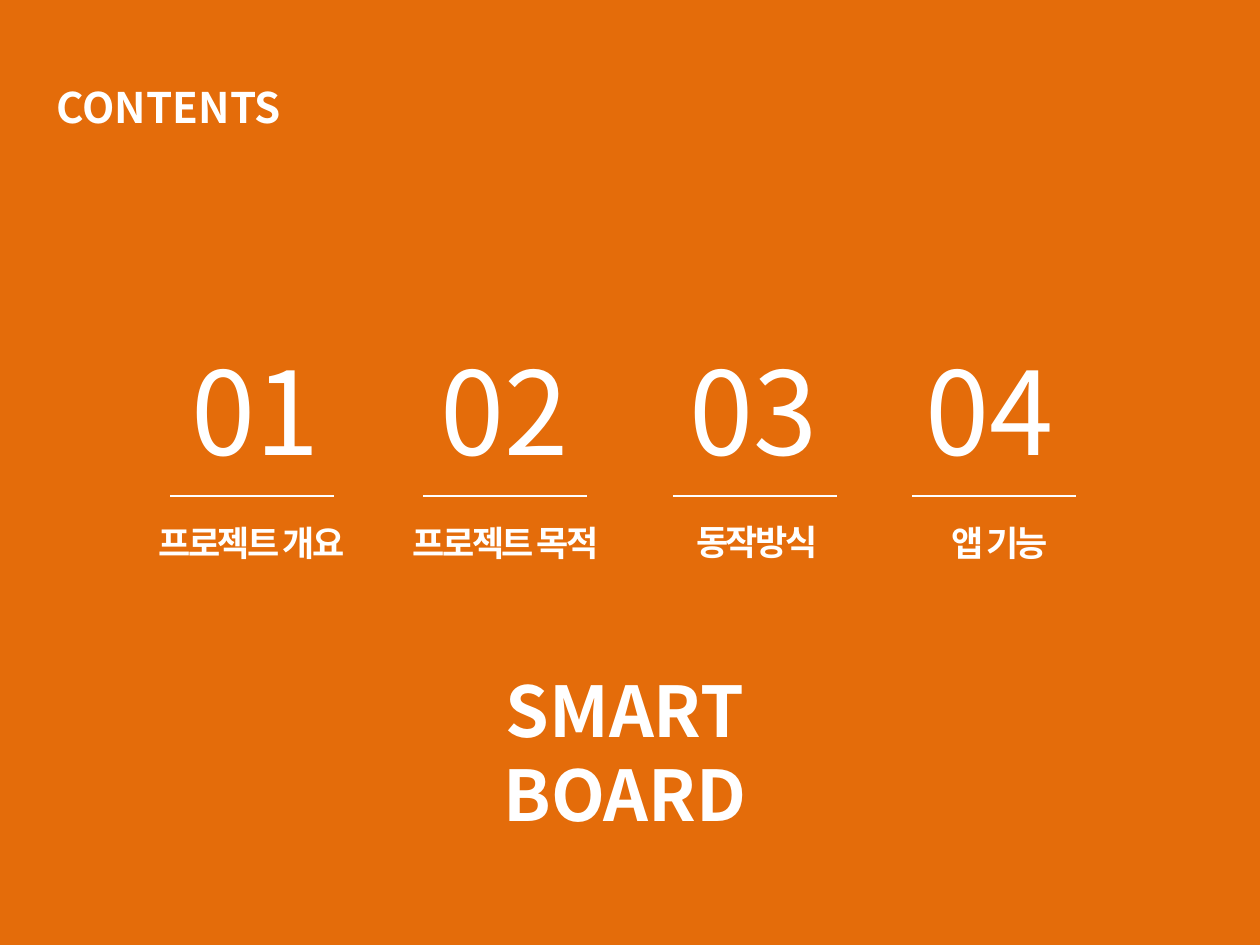
from lxml.etree import SubElement
from pptx import Presentation
from pptx.dml.color import RGBColor
from pptx.enum.shapes import MSO_CONNECTOR
from pptx.enum.text import MSO_ANCHOR, MSO_AUTO_SIZE, PP_ALIGN
from pptx.oxml.ns import qn
from pptx.util import Pt

ORANGE = RGBColor(0xE4, 0x6C, 0x0A)
WHITE = RGBColor(0xFF, 0xFF, 0xFF)
FONT = "Noto Sans CJK KR"
TOP, RULE = 190.8, 93.6
ITEMS = [
    ("01", "프로젝트 개요", 97.2, 5, (-15.8, 103.7, 124.6)),
    ("02", "프로젝트 목적", 241.9, 2.9, (-20.2, 103.7, 134.6)),
    ("03", "동작방식", 384.5, 2.2, (-19.4, 103, 134.6)),
    ("04", "앱 기능", 521.3, 0.7, (-17.3, 103.7, 134.6)),
]


def write(shape, box, text, size, bold=False, align=PP_ALIGN.LEFT, space=None):
    """Place a text shape and fill it with one formatted run."""
    shape.left, shape.top, shape.width, shape.height = map(Pt, box)
    frame = shape.text_frame
    frame.word_wrap = True
    frame.auto_size = MSO_AUTO_SIZE.NONE
    frame.vertical_anchor = MSO_ANCHOR.TOP
    para = frame.paragraphs[0]
    para.alignment = align
    run = para.add_run()
    run.text = text
    font = run.font
    font.size, font.bold, font.name = Pt(size), bold, FONT
    font.color.rgb = WHITE
    props = run._r.get_or_add_rPr()
    SubElement(props, qn("a:ea")).set("typeface", FONT)
    if space is not None:
        props.set("spc", str(int(space * 100)))


def add_text(slide, box, text, size, **style):
    """Add a text box."""
    write(slide.shapes.add_textbox(0, 0, 0, 0), box, text, size, **style)


def add_rule(slide, left, top, width):
    """Add a thin white horizontal line."""
    line = slide.shapes.add_connector(
        MSO_CONNECTOR.STRAIGHT, Pt(left), Pt(top), Pt(left + width), Pt(top))
    line.line.color.rgb = WHITE
    line.line.width = Pt(0.75)
    SubElement(line._element.spPr, qn("a:effectLst"))


def add_item(slide, left, top, width, num, label, shift, place):
    """Add a numbered entry: number, rule and label."""
    add_text(slide, (left + shift, top, 98.6, 87.1), num, 66)
    add_rule(slide, left, top + 92.6, width)
    x, y, wide = place
    add_text(slide, (left + x, top + y, wide, 31.7), label, 20,
             bold=True, align=PP_ALIGN.CENTER, space=-1.5)


def main():
    """Build the contents slide."""
    deck = Presentation()
    deck.slide_width, deck.slide_height = Pt(720), Pt(540)
    slide = deck.slides.add_slide(deck.slide_layouts[5])
    fill = slide.background.fill
    fill.solid()
    fill.fore_color.rgb = ORANGE
    write(slide.shapes.title, (25.2, 43.2, 329, 36), "CONTENTS", 24, bold=True)
    for num, label, left, shift, place in ITEMS:
        add_item(slide, left, TOP, RULE, num, label, shift, place)
    add_text(slide, (215.3, 378, 283.7, 104.4), "SMART BOARD", 40,
             bold=True, align=PP_ALIGN.CENTER)
    deck.save("out.pptx")


if __name__ == "__main__":
    main()
